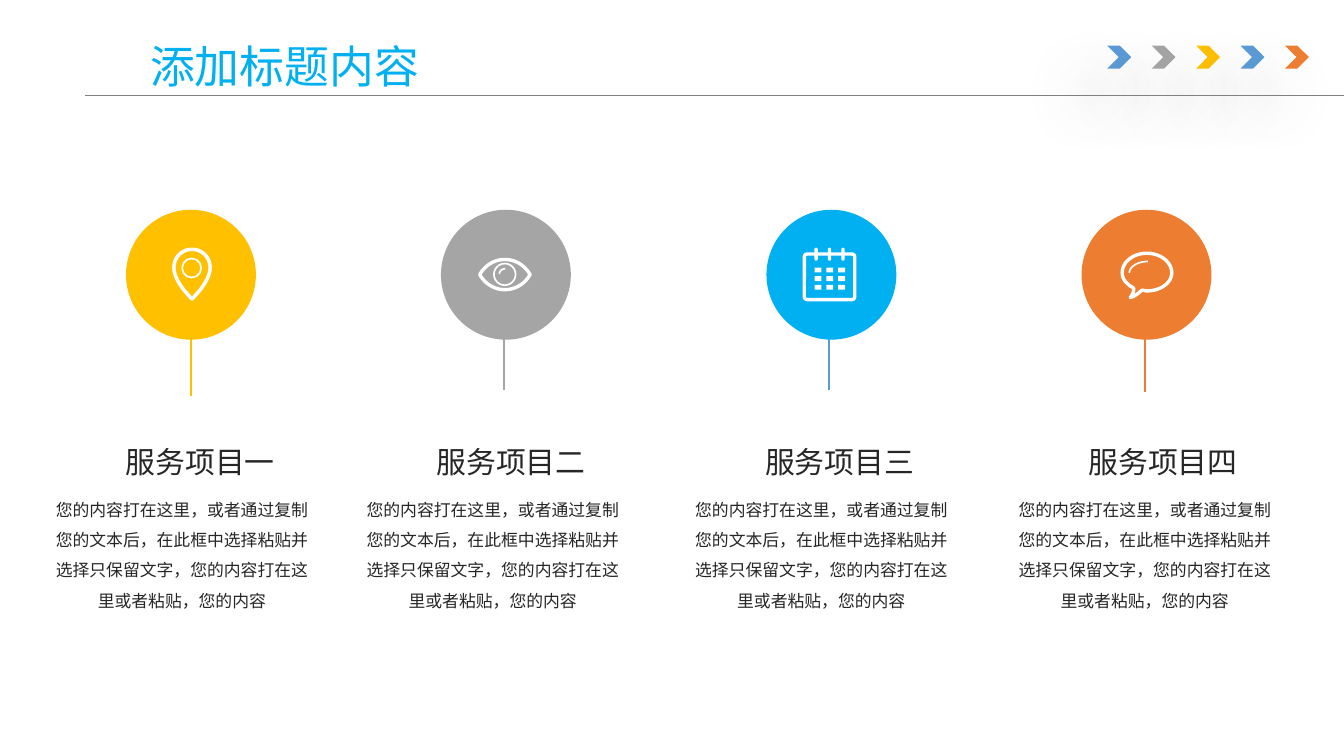
from lxml.etree import SubElement
from pptx import Presentation
from pptx.dml.color import RGBColor
from pptx.enum.shapes import MSO_CONNECTOR, MSO_SHAPE
from pptx.enum.text import MSO_ANCHOR, PP_ALIGN
from pptx.oxml.ns import qn
from pptx.util import Pt

FONT = "Noto Sans CJK SC"
BLUE, GRAY, GOLD, RUST, SKY = "5B9BD5", "A5A5A5", "FFC000", "ED7D31", "00B0F0"
WHITE, INK = "FFFFFF", "262626"
BODY = ("您的内容打在这里，或者通过复制您的文本后，在此框中选择粘贴并"
        "选择只保留文字，您的内容打在这里或者粘贴，您的内容")


def tint(part, color):
    """Give a fill, or the fill of a line, a solid colour."""
    part.solid()
    part.fore_color.rgb = RGBColor.from_string(color)


def paint(shape, fill=None, line=None, wide=1):
    """Set the fill and outline of a shape and drop its shadow."""
    shape.shadow.inherit = False
    for part, color in ((shape.fill, fill), (shape.line.fill, line)):
        if color:
            tint(part, color)
        else:
            part.background()
    if line:
        shape.line.width = Pt(wide)


deck = Presentation()
deck.slide_width, deck.slide_height = Pt(720), Pt(405)
slide = deck.slides.add_slide(deck.slide_layouts[6])
shapes = slide.shapes

# Chevrons with a soft shadow
for i, color in enumerate((BLUE, GRAY, GOLD, BLUE, RUST)):
    mark = shapes.add_shape(MSO_SHAPE.CHEVRON, Pt(593.2 + 23.8 * i), Pt(24.4),
                            Pt(12.8), Pt(12.4))
    paint(mark, color)
    effect = mark._element.spPr.find(qn("a:effectLst"))
    shade = SubElement(effect, qn("a:outerShdw"), blurRad=str(Pt(36)),
                       dist=str(Pt(24)), dir=str(130 * 60000),
                       algn="tr", rotWithShape="0")
    black = SubElement(shade, qn("a:srgbClr"), val="000000")
    SubElement(black, qn("a:alpha"), val="38000")

# Title rule and stems: x1, y1, x2, y2, colour, width
rules = [
    (45.5, 51.2, 720, 51.2, "808080", 0.5),
    (102.3, 158.4, 102.3, 212.4, GOLD, 1),
    (270, 152.6, 270, 208.8, GRAY, 1),
    (444.3, 152.6, 444.3, 208.8, BLUE, 1),
    (613.3, 154, 613.3, 210.2, RUST, 1),
]
for x1, y1, x2, y2, color, wide in rules:
    rule = shapes.add_connector(MSO_CONNECTOR.STRAIGHT,
                                Pt(x1), Pt(y1), Pt(x2), Pt(y2))
    tint(rule.line.fill, color)
    rule.line.width = Pt(wide)
    SubElement(rule._element.spPr, qn("a:effectLst"))

# Discs
for left, color in ((67.5, GOLD), (236.2, GRAY), (410.6, SKY), (579.4, RUST)):
    disc = shapes.add_shape(MSO_SHAPE.OVAL, Pt(left), Pt(112.4), Pt(69.6), Pt(69.6))
    paint(disc, color)

# Rings inside the pin and the eye
for left, top, size in ((97.6, 138.5, 10.2), (264.6, 141.2, 11.6)):
    ring = shapes.add_shape(MSO_SHAPE.OVAL, Pt(left), Pt(top), Pt(size), Pt(size))
    paint(ring, line=WHITE, wide=0.9)

# Curved icon strokes: width, start, cubic segments
strokes = [
    # Pin
    (1.9, (102.9, 133.6), [
        (108.3, 133.6, 112.6, 137.9, 112.6, 143.3),
        (112.6, 149.4, 107.2, 155.9, 102.9, 160.2),
        (98.6, 155.9, 93.2, 149.4, 93.2, 143.3),
        (93.2, 137.9, 97.5, 133.6, 102.9, 133.6)]),
    # Eye and its glint
    (1.8, (257, 147.1), [
        (259.9, 142, 265, 139, 270.5, 139),
        (276, 139, 281.1, 142, 284, 147.1),
        (281.1, 152.2, 276, 155.2, 270.5, 155.2),
        (265, 155.2, 259.9, 152.2, 257, 147.1)]),
    (0.9, (267.5, 146.9), [(267.5, 145.3, 269, 144, 270.7, 144)]),
    # Speech bubble and its glint
    (1.8, (605.5, 159.5), [
        (609.1, 158.4, 610.9, 155.9, 612, 155.5),
        (612.7, 155.5, 613.5, 155.9, 614.5, 155.9),
        (621.7, 155.9, 627.8, 151.6, 627.8, 146.2),
        (627.8, 140.4, 621.7, 135.7, 614.5, 135.7),
        (607, 135.7, 601.2, 140.4, 601.2, 146.2),
        (601.2, 149.4, 603.4, 152.3, 607, 154.1),
        (608, 154.8, 607, 157.7, 605.5, 159.5)]),
    (0.9, (605, 146.2), [(605, 143, 609.4, 140.1, 614.9, 140.1)]),
]
STEPS = 12
for wide, start, curves in strokes:
    dots, (x, y) = [], start
    for ax, ay, bx, by, ex, ey in curves:
        for n in range(1, STEPS + 1):
            t = n / STEPS
            u = 1 - t
            mix = (u ** 3, 3 * u * u * t, 3 * u * t * t, t ** 3)
            dots.append(tuple(
                Pt(sum(m * v for m, v in zip(mix, axis)))
                for axis in ((x, ax, bx, ex), (y, ay, by, ey))))
        x, y = ex, ey
    pen = shapes.build_freeform(Pt(start[0]), Pt(start[1]))
    pen.add_line_segments(dots, close=(x, y) == start)
    paint(pen.convert_to_shape(), line=WHITE, wide=wide)

# Calendar: frame, rings and day cells
frame = shapes.add_shape(MSO_SHAPE.ROUNDED_RECTANGLE,
                         Pt(430.9), Pt(136.1), Pt(27), Pt(24.4))
frame.adjustments[0] = 0.06
paint(frame, line=WHITE, wide=1.8)
for col in range(3):
    ring = shapes.add_shape(MSO_SHAPE.ROUNDED_RECTANGLE,
                            Pt(436.3 + 7.2 * col), Pt(132.7), Pt(1.8), Pt(7))
    ring.adjustments[0] = 0.5
    paint(ring, WHITE)
    for row in range(3):
        cell = shapes.add_shape(MSO_SHAPE.RECTANGLE, Pt(436.4 + 6.3 * col),
                                Pt(143.4 + 4.6 * row), Pt(3.7), Pt(2.6))
        paint(cell, WHITE)

# Texts: left, top, width, height, words, size, colour, spacing, align
texts = [(73.4, -2.2, 620.6, 78.5, "添加标题内容", 24, SKY, 0.9, PP_ALIGN.LEFT)]
for left, num in zip((53.3, 219.8, 395.8, 569.1), "一二三四"):
    texts += [
        (left, 234, 108, 26.6, "服务项目" + num, 16, INK, 1, PP_ALIGN.CENTER),
        (left - 31.9, 258.5, 152, 72.7, BODY, 9, INK, 1.5, PP_ALIGN.CENTER),
    ]
for left, top, width, height, words, size, color, space, align in texts:
    box = shapes.add_textbox(Pt(left), Pt(top), Pt(width), Pt(height))
    frame = box.text_frame
    frame.word_wrap = True
    frame.vertical_anchor = MSO_ANCHOR.MIDDLE if size == 24 else MSO_ANCHOR.TOP
    para = frame.paragraphs[0]
    para.alignment, para.line_spacing = align, space
    run = para.add_run()
    run.text = words
    run.font.size = Pt(size)
    tint(run.font.fill, color)
    run.font.name = FONT
    SubElement(run.font._element, qn("a:ea"), typeface=FONT)

deck.save("out.pptx")
